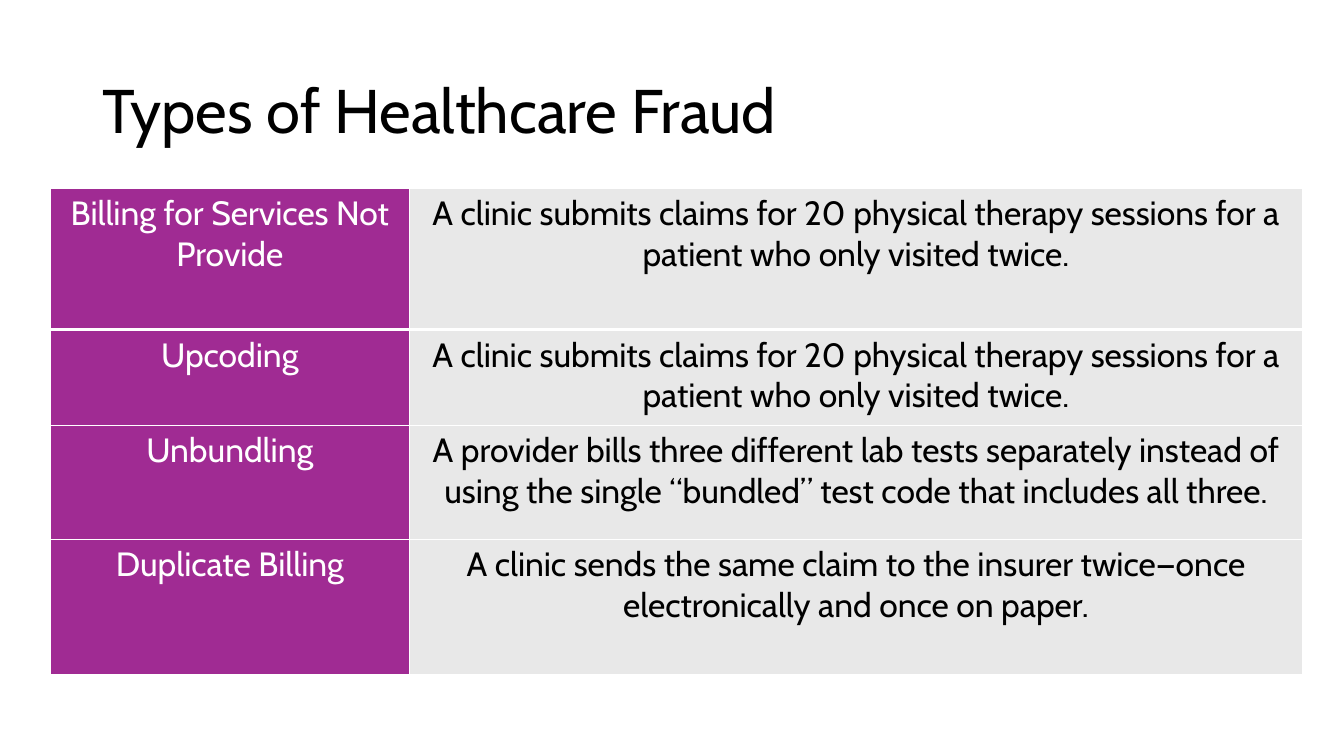
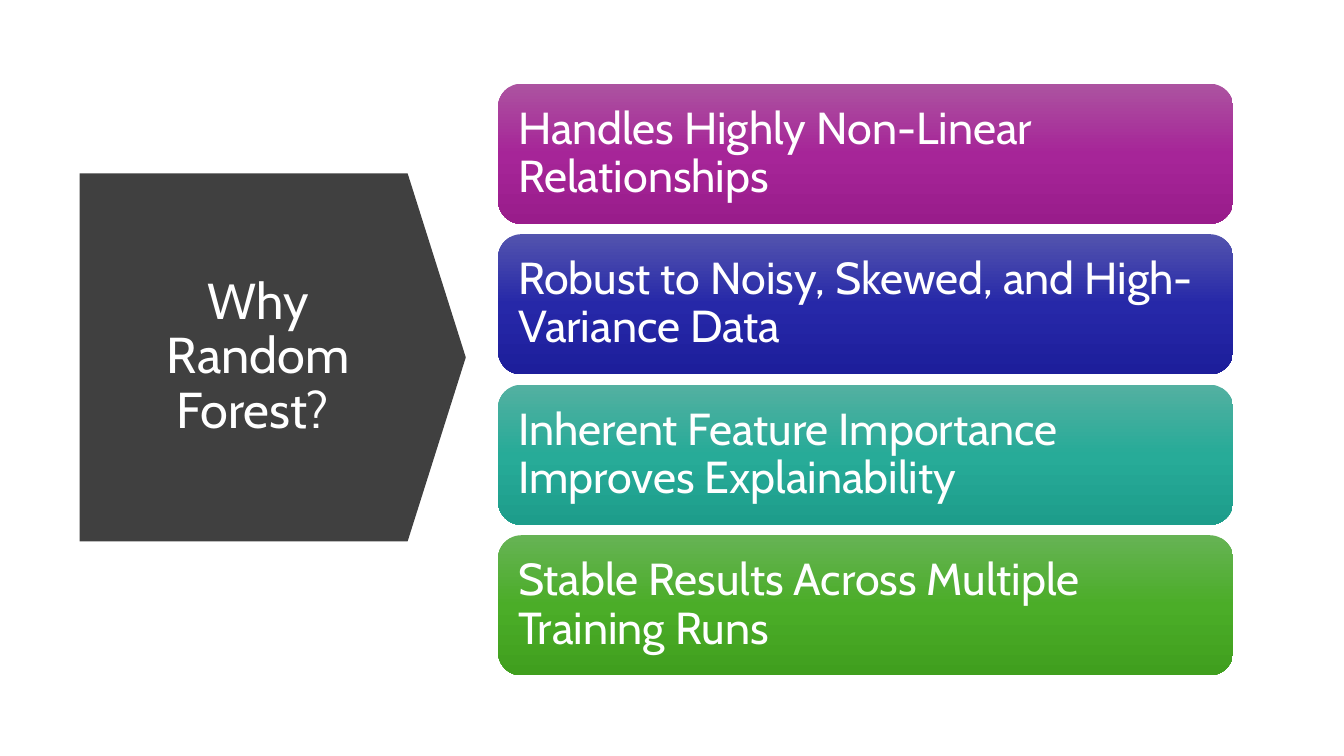
from lxml import etree
from pptx import Presentation
from pptx.dml.color import RGBColor
from pptx.enum.shapes import MSO_SHAPE
from pptx.enum.text import MSO_ANCHOR, MSO_AUTO_SIZE, PP_ALIGN
from pptx.oxml.ns import qn
from pptx.util import Inches, Pt

FONT = "Cabin"
COLORS = {
    "white": "FFFFFF",
    "black": "000000",
    "purple": "A02B93",
    "light_gray": "E8E8E8",
    "dark_gray": "404040",
}

FRAUD_TITLE = "Types of Healthcare Fraud"
FRAUD_TYPES = [
    ("Billing for Services Not Provide",
     "A clinic submits claims for 20 physical therapy sessions for a patient who only visited twice.", 1.4),
    ("Upcoding",
     "A clinic submits claims for 20 physical therapy sessions for a patient who only visited twice.", 0.95),
    ("Unbundling",
     "A provider bills three different lab tests separately instead of using the single “bundled” test code that includes all three.", 1.13),
    ("Duplicate Billing",
     "A clinic sends the same claim to the insurer twice—once electronically and once on paper.", 1.34),
]
COLUMN_WIDTHS = (3.56, 8.86)
COLUMN_COLORS = (("purple", "white"), ("light_gray", "black"))

FOREST_TITLE = "Why Random Forest? "
REASONS = [
    ("Handles Highly Non-Linear Relationships", ("AC53A0", "A62598", "991C8B")),
    ("Robust to Noisy, Skewed, and High-Variance Data", ("5354AE", "2628A8", "1D1E9B")),
    ("Inherent Feature Importance Improves Explainability", ("53B0A1", "27AB98", "1D9D8B")),
    ("Stable Results Across Multiple Training Runs", ("66B354", "4BAD28", "409F1E")),
]
CARD_LEFT, CARD_WIDTH, CARD_HEIGHT = 4.94, 7.29, 1.39
FIRST_CARD_TOP, LAST_CARD_TOP = 0.83, 5.31


def rgb(name):
    return RGBColor.from_string(COLORS[name])


def write_text(text_frame, text, size, color, align, line_spacing=None):
    text_frame.text = text
    text_frame.word_wrap = True
    paragraph = text_frame.paragraphs[0]
    paragraph.alignment = align
    paragraph.line_spacing = line_spacing
    font = paragraph.runs[0].font
    font.name, font.size, font.bold = FONT, Pt(size), False
    font.color.rgb = rgb(color)


def add_titled_slide(presentation, text, box, size, color, align):
    slide = presentation.slides.add_slide(presentation.slide_layouts[5])
    title = slide.shapes.title
    title.left, title.top, title.width, title.height = map(Inches, box)
    write_text(title.text_frame, text, size, color, align, 0.9)
    title.text_frame.auto_size = MSO_AUTO_SIZE.NONE
    title.text_frame.vertical_anchor = MSO_ANCHOR.MIDDLE
    return slide


def set_borders(cell, widths):
    properties = cell._tc.get_or_add_tcPr()
    for side, width in zip("LRTB", widths):
        line = etree.SubElement(properties, qn(f"a:ln{side}"), w=str(Pt(width)))
        fill = etree.SubElement(line, qn("a:solidFill"))
        etree.SubElement(fill, qn("a:srgbClr"), val=COLORS["white"])


def set_gradient(shape, colors):
    shape.fill.gradient()
    shape.fill.gradient_angle = 270
    stops = shape.element.spPr.find(qn("a:gradFill")).find(qn("a:gsLst"))
    for stop in list(stops):
        stops.remove(stop)
    for index, color in enumerate(colors):
        stop = etree.SubElement(stops, qn("a:gs"), pos=str(index * 50000))
        etree.SubElement(stop, qn("a:srgbClr"), val=color)


def add_plain_shape(slide, kind, box):
    shape = slide.shapes.add_shape(kind, *map(Inches, box))
    shape.shadow.inherit = False
    shape.line.fill.background()
    return shape


def build_fraud_slide(presentation):
    slide = add_titled_slide(presentation, FRAUD_TITLE, (0.92, 0.4, 11.5, 1.45),
                             44, "black", PP_ALIGN.LEFT)
    heights = [height for _, _, height in FRAUD_TYPES]
    box = (0.5, 1.87, sum(COLUMN_WIDTHS), sum(heights))
    table = slide.shapes.add_table(len(heights), len(COLUMN_WIDTHS), *map(Inches, box)).table
    table.first_row = table.horz_banding = False
    for column, width in zip(table.columns, COLUMN_WIDTHS):
        column.width = Inches(width)
    for row_index, (name, example, height) in enumerate(FRAUD_TYPES):
        table.rows[row_index].height = Inches(height)
        top = 3 if row_index == 1 else 1
        bottom = 3 if row_index == 0 else 1
        for column_index, text in enumerate((name, example)):
            cell = table.cell(row_index, column_index)
            fill_color, text_color = COLUMN_COLORS[column_index]
            set_borders(cell, (1, 1, top, bottom))
            cell.fill.solid()
            cell.fill.fore_color.rgb = rgb(fill_color)
            write_text(cell.text_frame, text, 24, text_color, PP_ALIGN.CENTER)


def build_forest_slide(presentation):
    slide = add_titled_slide(presentation, FOREST_TITLE, (1.12, 2.15, 2.88, 2.79),
                             36, "white", PP_ALIGN.CENTER)
    arrow = add_plain_shape(slide, MSO_SHAPE.DOWN_ARROW, (0.88, 1.63, 3.65, 3.83))
    arrow.rotation = 270
    arrow.adjustments[0] = 1
    arrow.adjustments[1] = 0.158
    arrow.fill.solid()
    arrow.fill.fore_color.rgb = rgb("dark_gray")
    arrow.element.addnext(slide.shapes.title.element)

    pitch = (LAST_CARD_TOP - FIRST_CARD_TOP) / (len(REASONS) - 1)
    for index, (text, colors) in enumerate(REASONS):
        box = (CARD_LEFT, FIRST_CARD_TOP + index * pitch, CARD_WIDTH, CARD_HEIGHT)
        card = add_plain_shape(slide, MSO_SHAPE.ROUNDED_RECTANGLE, box)
        set_gradient(card, colors)
        text_frame = card.text_frame
        text_frame.margin_left = text_frame.margin_right = Inches(0.13)
        text_frame.margin_top = text_frame.margin_bottom = Inches(0.13)
        text_frame.vertical_anchor = MSO_ANCHOR.MIDDLE
        write_text(text_frame, text, 32, "white", PP_ALIGN.LEFT, 0.9)


def main():
    presentation = Presentation()
    presentation.slide_width, presentation.slide_height = Inches(13.33), Inches(7.5)
    build_fraud_slide(presentation)
    build_forest_slide(presentation)
    presentation.save("out.pptx")


if __name__ == "__main__":
    main()
